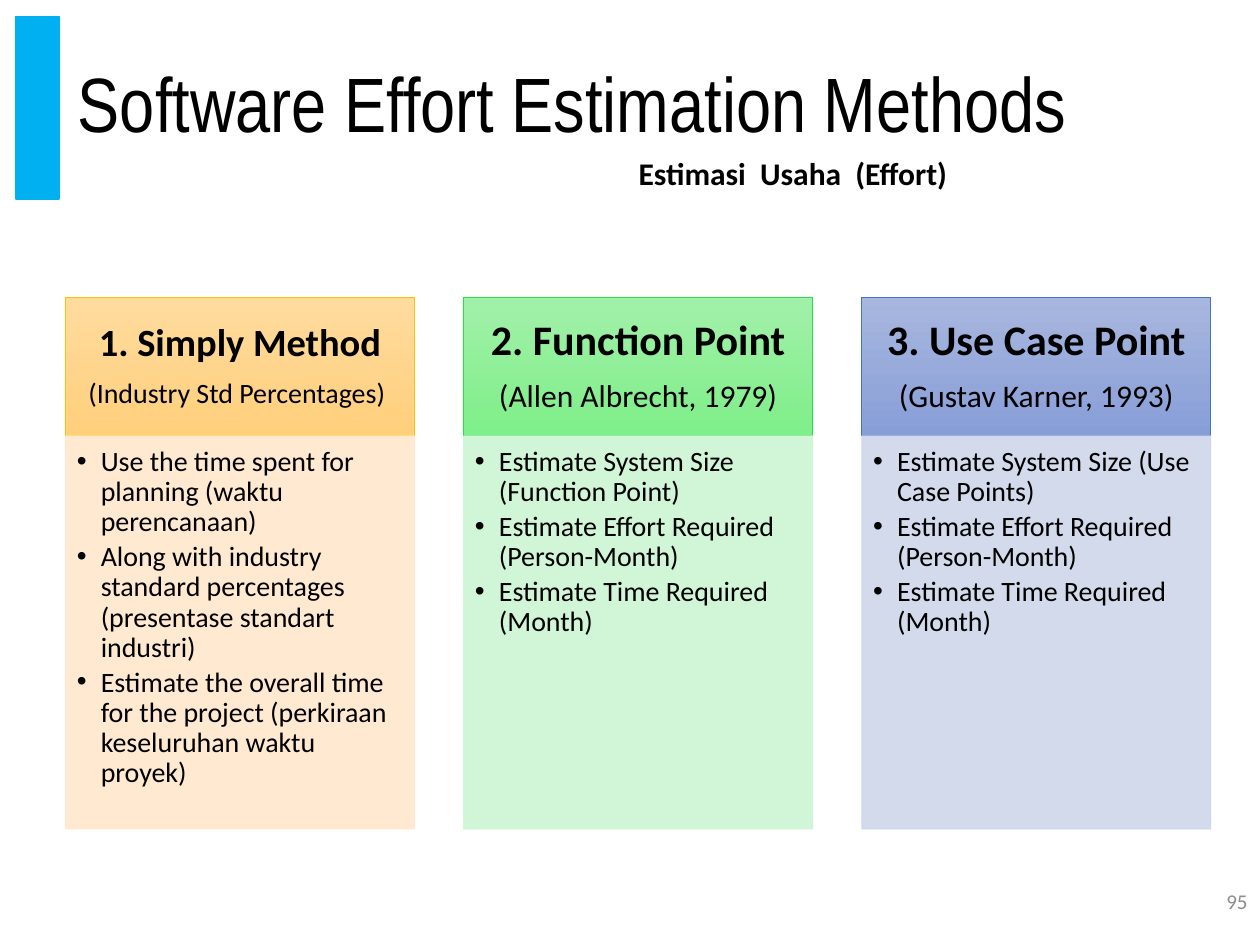
from lxml import etree
from pptx import Presentation
from pptx.dml.color import RGBColor
from pptx.enum import shapes, text
from pptx.oxml.ns import qn
from pptx.util import Inches, Pt

BLACK = RGBColor(0, 0, 0)
GREY = RGBColor(0x8C, 0x8C, 0x8C)
SKY = RGBColor(0x00, 0xB0, 0xF0)
AMBER, AMBER_TOP, AMBER_BOTTOM, AMBER_PALE = map(
    RGBColor.from_string, ("FFC000", "FFDB9E", "FFD07C", "FFE8CC"))
GREEN, GREEN_TOP, GREEN_BOTTOM, GREEN_PALE = map(
    RGBColor.from_string, ("23E148", "A1F0A9", "7FEF89", "CCF6D3"))
BLUE, BLUE_TOP, BLUE_BOTTOM, BLUE_PALE = map(
    RGBColor.from_string, ("4472C4", "A8B7DF", "889ED7", "CFD6EA"))

LINE_FACTOR = 1.1  # height of a text line relative to its font size
COLUMN_LEFT, COLUMN_TOP, COLUMN_WIDTH, COLUMN_PITCH = 0.52, 2.36, 2.77, 3.16
HEADER_HEIGHT, BODY_HEIGHT = 1.1, 3.12

SIZE_STEPS = [
    "Estimate Effort Required (Person-Month)",
    "Estimate Time Required (Month)",
]
METHODS = [
    dict(name="1. Simply Method", origin="(Industry Std Percentages) ",
         sizes=(22, 16), inset=(0.17, 0.1),
         colours=(AMBER, AMBER_TOP, AMBER_BOTTOM, AMBER_PALE),
         steps=["Use the time spent for planning (waktu perencanaan)",
                "Along with industry standard percentages "
                "(presentase standart industri)",
                "Estimate the overall time for the project "
                "(perkiraan keseluruhan waktu proyek)"]),
    dict(name="2. Function Point", origin="(Allen Albrecht, 1979)",
         sizes=(24, 18), inset=(0.19, 0.11),
         colours=(GREEN, GREEN_TOP, GREEN_BOTTOM, GREEN_PALE),
         steps=["Estimate System Size (Function Point)", *SIZE_STEPS]),
    dict(name="3. Use Case Point", origin="(Gustav Karner, 1993)",
         sizes=(24, 18), inset=(0.19, 0.11),
         colours=(BLUE, BLUE_TOP, BLUE_BOTTOM, BLUE_PALE),
         steps=["Estimate System Size (Use Case Points)", *SIZE_STEPS]),
]


def apply(target, values):
    for name, value in values.items():
        setattr(target, name, value)


def set_frame(frame, insets=(0.1, 0.05, 0.1, 0.05), **values):
    """Set the insets (left, top, right, bottom, in inches) and other values."""
    sides = ("margin_left", "margin_top", "margin_right", "margin_bottom")
    apply(frame, dict(zip(sides, map(Inches, insets))))
    apply(frame, {"word_wrap": True, **values})


def write(para, words, size, font="Calibri", colour=BLACK, bold=False, **layout):
    apply(para, layout)
    span = para.add_run()
    span.text = words
    apply(span.font, {"name": font, "size": Pt(size), "bold": bold})
    span.font.color.rgb = colour


def next_para(frame, index):
    return frame.add_paragraph() if index else frame.paragraphs[0]


def add_bullet(para, indent):
    properties = para._p.get_or_add_pPr()
    properties.set("marL", str(Inches(indent)))
    properties.set("indent", str(-Inches(indent)))
    etree.SubElement(properties, qn("a:buFont"), typeface="Arial")
    etree.SubElement(properties, qn("a:buChar"), char="•")


def add_rectangle(page, box, line_colour, line_width):
    rectangle = page.shapes.add_shape(
        shapes.MSO_SHAPE.RECTANGLE, *map(Inches, box))
    rectangle.shadow.inherit = False
    rectangle.line.color.rgb = line_colour
    rectangle.line.width = Pt(line_width)
    return rectangle


def add_label(page, box, words, size, frame_values, **style):
    label = page.shapes.add_textbox(*map(Inches, box))
    set_frame(label.text_frame, **frame_values)
    write(label.text_frame.paragraphs[0], words, size, **style)


def add_method_header(page, box, method):
    line, top, bottom, _ = method["colours"]
    header = add_rectangle(page, box, line, 0.5)
    header.fill.gradient()
    header.fill.gradient_angle = 270
    for stop, colour in zip(header.fill.gradient_stops, (top, bottom)):
        stop.color.rgb = colour
    frame = header.text_frame
    set_frame(frame, method["inset"] * 2,
              vertical_anchor=text.MSO_ANCHOR.MIDDLE)
    lines = zip((method["name"], method["origin"]), method["sizes"])
    for index, (words, size) in enumerate(lines):
        write(next_para(frame, index), words, size, bold=index == 0,
              alignment=text.PP_ALIGN.CENTER, line_spacing=0.9,
              space_after=Pt(0.35 * size * LINE_FACTOR))


def add_method_body(page, box, method):
    pale = method["colours"][3]
    body = add_rectangle(page, box, pale, 0.5)
    body.fill.solid()
    body.fill.fore_color.rgb = pale
    for colour in body._element.spPr.iter(qn("a:srgbClr")):
        etree.SubElement(colour, qn("a:alpha"), val="90000")
    frame = body.text_frame
    set_frame(frame, (0.09, 0.09, 0.12, 0.14),
              vertical_anchor=text.MSO_ANCHOR.TOP)
    for index, step in enumerate(method["steps"]):
        para = next_para(frame, index)
        add_bullet(para, 0.19)
        write(para, step, 16, alignment=text.PP_ALIGN.LEFT, line_spacing=0.9,
              space_after=Pt(0.15 * 16 * LINE_FACTOR))


def add_method(page, left, top, width, method):
    add_method_header(page, (left, top, width, HEADER_HEIGHT), method)
    add_method_body(
        page, (left, top + HEADER_HEIGHT, width, BODY_HEIGHT), method)


def add_heading(page, left, top, height):
    bar = add_rectangle(page, (left, top, 0.34, height), SKY, 1)
    bar.fill.solid()
    bar.fill.fore_color.rgb = SKY
    add_label(page, (left + 0.39, top, 9.1, height),
              "Software Effort Estimation Methods", 44,
              {"vertical_anchor": text.MSO_ANCHOR.MIDDLE},
              font="Arial Narrow", line_spacing=0.9)
    add_label(page, (left + 4.84, top + 1.04, 2.74, 0.4),
              "Estimasi  Usaha  (Effort)", 18, {"word_wrap": False}, bold=True)


def add_page_number(page, box, number):
    add_label(page, box, number, 12,
              {"vertical_anchor": text.MSO_ANCHOR.MIDDLE},
              colour=GREY, alignment=text.PP_ALIGN.RIGHT)


def main():
    deck = Presentation()
    deck.slide_width, deck.slide_height = Inches(10), Inches(7.5)
    page = deck.slides.add_slide(deck.slide_layouts[6])
    add_heading(page, 0.13, 0.13, 1.45)
    for index, method in enumerate(METHODS):
        add_method(page, COLUMN_LEFT + index * COLUMN_PITCH, COLUMN_TOP,
                   COLUMN_WIDTH, method)
    add_page_number(page, (7.75, 6.95, 2.25, 0.4), "95")
    deck.save("out.pptx")


if __name__ == "__main__":
    main()
